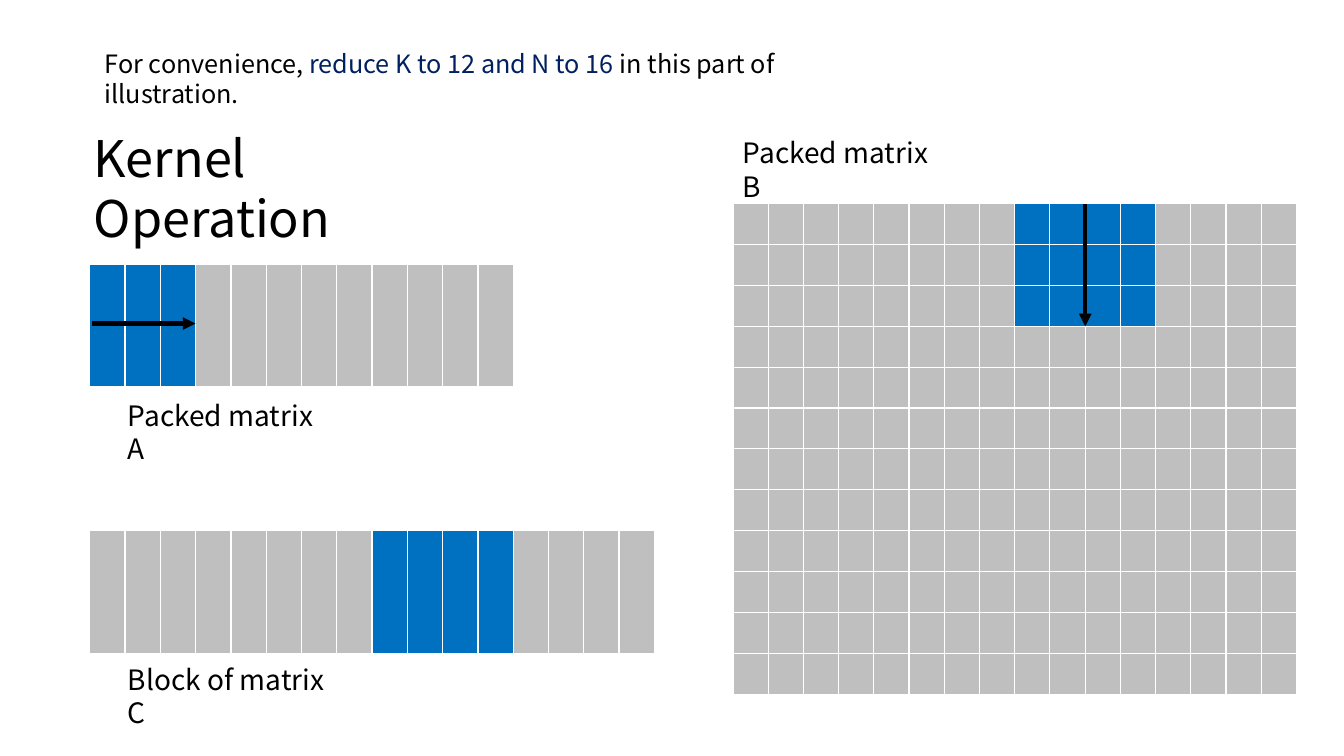
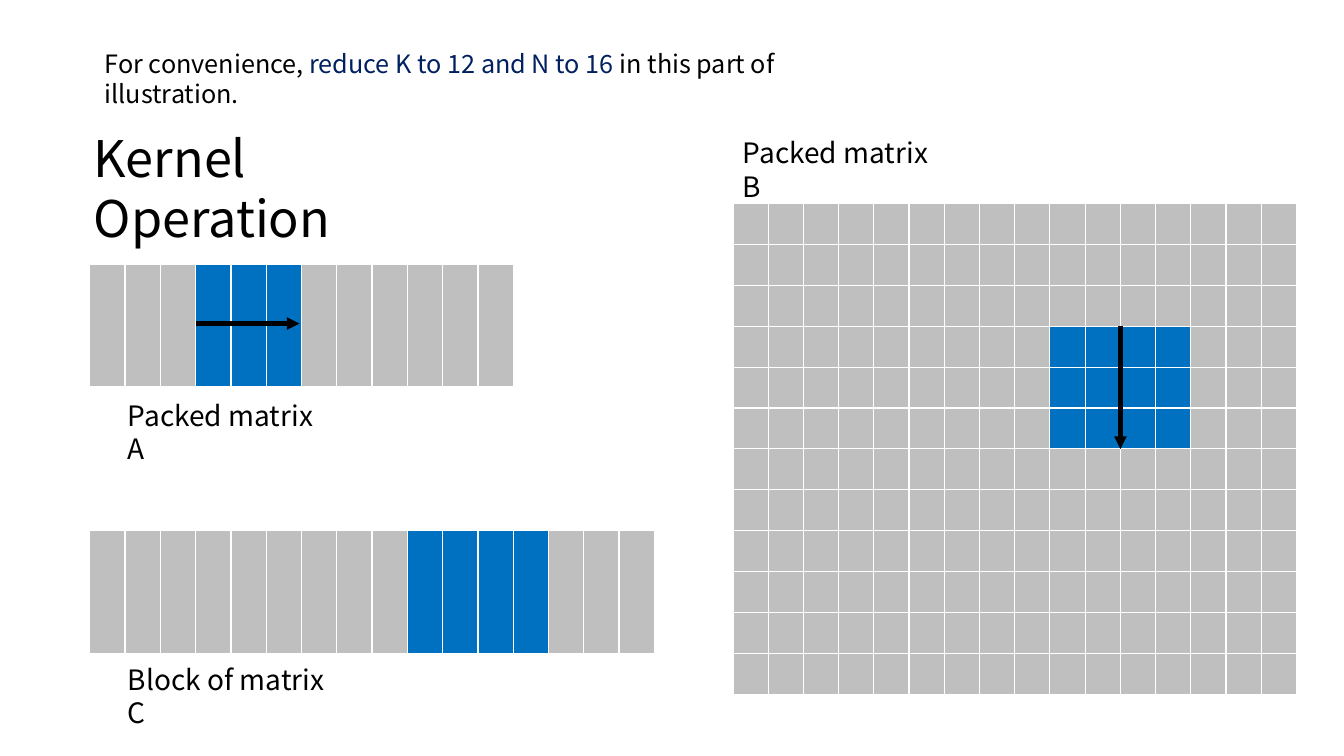
from lxml import etree
from pptx import Presentation
from pptx.dml.color import RGBColor
from pptx.enum import shapes, text
from pptx.oxml import ns
from pptx.util import Inches, Pt

COLORS = {"ink": "000000", "accent": "002060", "cell": "BFBFBF",
          "active": "0070C0", "border": "FFFFFF"}
FONT = "Noto Sans CJK SC"
DEPTH, WIDTH = 3, 4
COLUMNS_A, COLUMNS_C, ROWS_B = 12, 16, 12
FIRST_COLUMN = 8


def rgb(name):
    """Return the named palette colour."""
    return RGBColor.from_string(COLORS[name])


def add_element(parent, tag, **attributes):
    """Append a DrawingML element and return it."""
    return etree.SubElement(parent, ns.qn(tag), attributes)


class Deck:
    """Holds the shared style and the current slide."""

    def __init__(self):
        """Start a widescreen presentation."""
        self.presentation = Presentation()
        self.presentation.slide_width = Inches(13.33)
        self.presentation.slide_height = Inches(7.5)
        self.slide = None

    def new_slide(self):
        """Begin a blank slide."""
        layout = self.presentation.slide_layouts[6]
        self.slide = self.presentation.slides.add_slide(layout)

    def text(self, box, *parts, size=20, colors=("ink",)):
        """Write text parts, each in its own colour, in one paragraph."""
        shape = self.slide.shapes.add_textbox(*map(Inches, box))
        frame = shape.text_frame
        frame.word_wrap = True
        frame.auto_size = text.MSO_AUTO_SIZE.SHAPE_TO_FIT_TEXT
        paragraph = frame.paragraphs[0]
        for part, color in zip(parts, colors):
            run = paragraph.add_run()
            run.text = part
            run.font.size = Pt(size)
            run.font.name = FONT
            run.font.color.rgb = rgb(color)
            add_element(run.font._element, "a:ea", typeface=FONT)

    def matrix(self, box, rows, columns, active_rows, active_columns, bottom=1):
        """Draw a matrix as a table with one highlighted block."""
        frame = self.slide.shapes.add_table(rows, columns, *map(Inches, box))
        table = frame.table
        table.first_row = table.horz_banding = False
        for row in range(rows):
            for column in range(columns):
                active = row in active_rows and column in active_columns
                self.cell(table.cell(row, column),
                          "active" if active else "cell", bottom)

    def cell(self, cell, color, bottom):
        """Give a cell its borders and fill."""
        cell.margin_top = cell.margin_bottom = 0
        properties = cell._tc.get_or_add_tcPr()
        for side, width in zip("LRTB", (1, 1, 1, bottom)):
            line = add_element(properties, f"a:ln{side}", w=str(Pt(width)))
            fill = add_element(line, "a:solidFill")
            add_element(fill, "a:srgbClr", val=COLORS["border"])
        cell.fill.solid()
        cell.fill.fore_color.rgb = rgb(color)

    def arrow(self, *ends):
        """Draw a straight arrow between two points."""
        connector = self.slide.shapes.add_connector(
            shapes.MSO_CONNECTOR.STRAIGHT, *map(Inches, ends))
        connector.line.color.rgb = rgb("ink")
        connector.line.width = Pt(3)
        add_element(connector.line._get_or_add_ln(), "a:tailEnd", type="triangle")
        add_element(connector._element.spPr, "a:effectLst")


def kernel_step(deck, step):
    """Build the slide for one step of the kernel operation."""
    deck.new_slide()
    deck.text((0.83, 1.21, 3.89, 0.71), "Kernel Operation", size=36)
    deck.text((0.94, 0.43, 7.79, 0.4), "For convenience, ",
              "reduce K to 12 and N to 16 ", "in this part of illustration.",
              size=18, colors=("ink", "accent", "ink"))
    deck.text((1.17, 3.9, 2.14, 0.44), "Packed matrix A")
    deck.text((7.27, 1.3, 2.12, 0.44), "Packed matrix B")
    deck.text((1.17, 6.52, 2.24, 0.44), "Block of matrix C")

    depth = range(DEPTH * step, DEPTH * (step + 1))
    first = FIRST_COLUMN + step
    columns = range(first, first + WIDTH)
    left, top, width, height = 7.27, 2.02, 5.59, 4.87
    deck.matrix((0.89, 2.62, 4.2, 1.23), 1, COLUMNS_A, [0], depth, bottom=3)
    deck.matrix((0.89, 5.26, 5.6, 1.24), 1, COLUMNS_C, [0], columns, bottom=3)
    deck.matrix((left, top, width, height), ROWS_B, COLUMNS_C, depth, columns)

    reach = 1.03
    start = 0.91 + reach * step
    deck.arrow(start, 3.21, start + reach, 3.21)
    middle = left + width / COLUMNS_C * (first + WIDTH / 2)
    row_height = height / ROWS_B
    deck.arrow(middle, top + row_height * depth.start,
               middle, top + row_height * depth.stop)


deck = Deck()
for step in range(2):
    kernel_step(deck, step)
deck.presentation.save("out.pptx")
